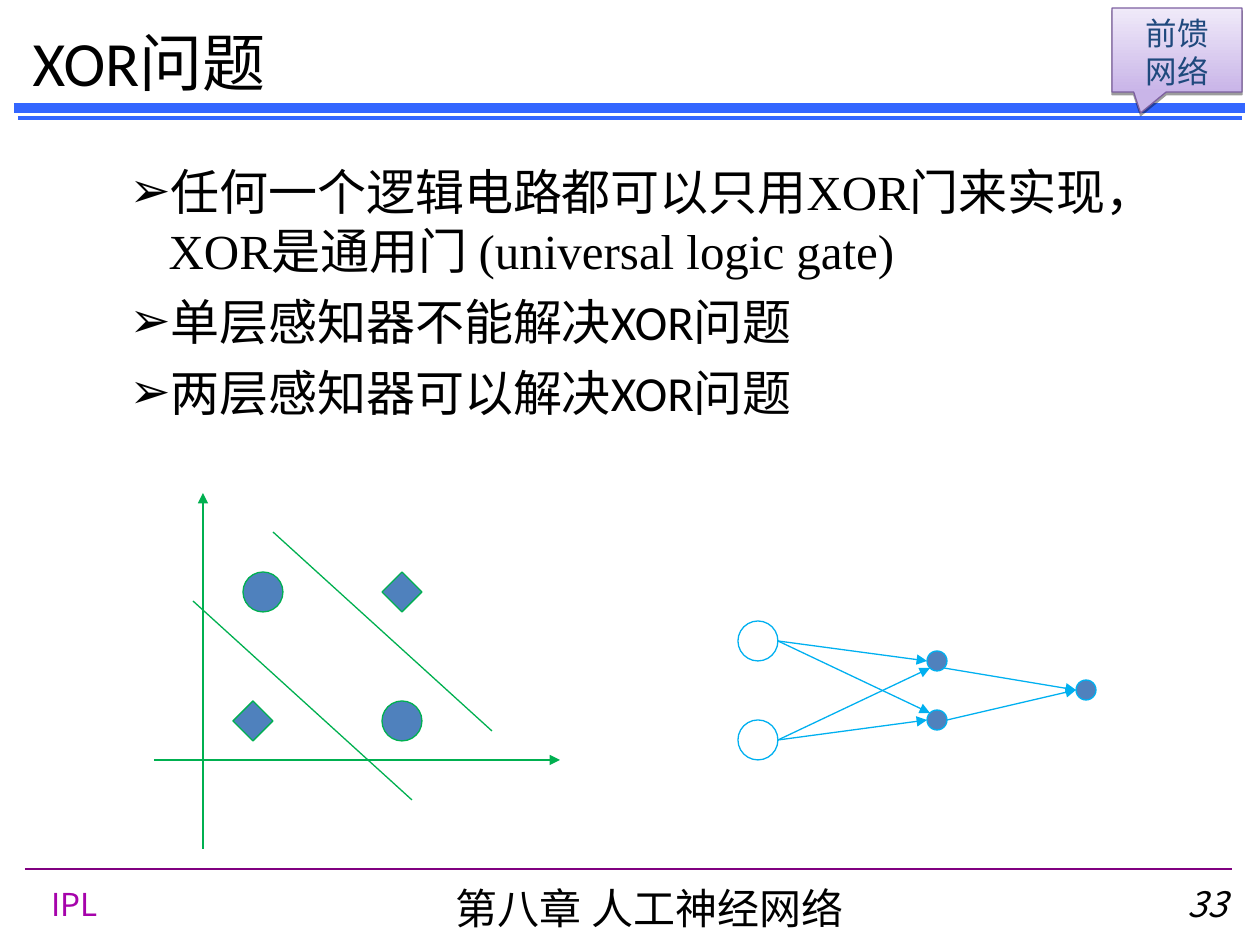
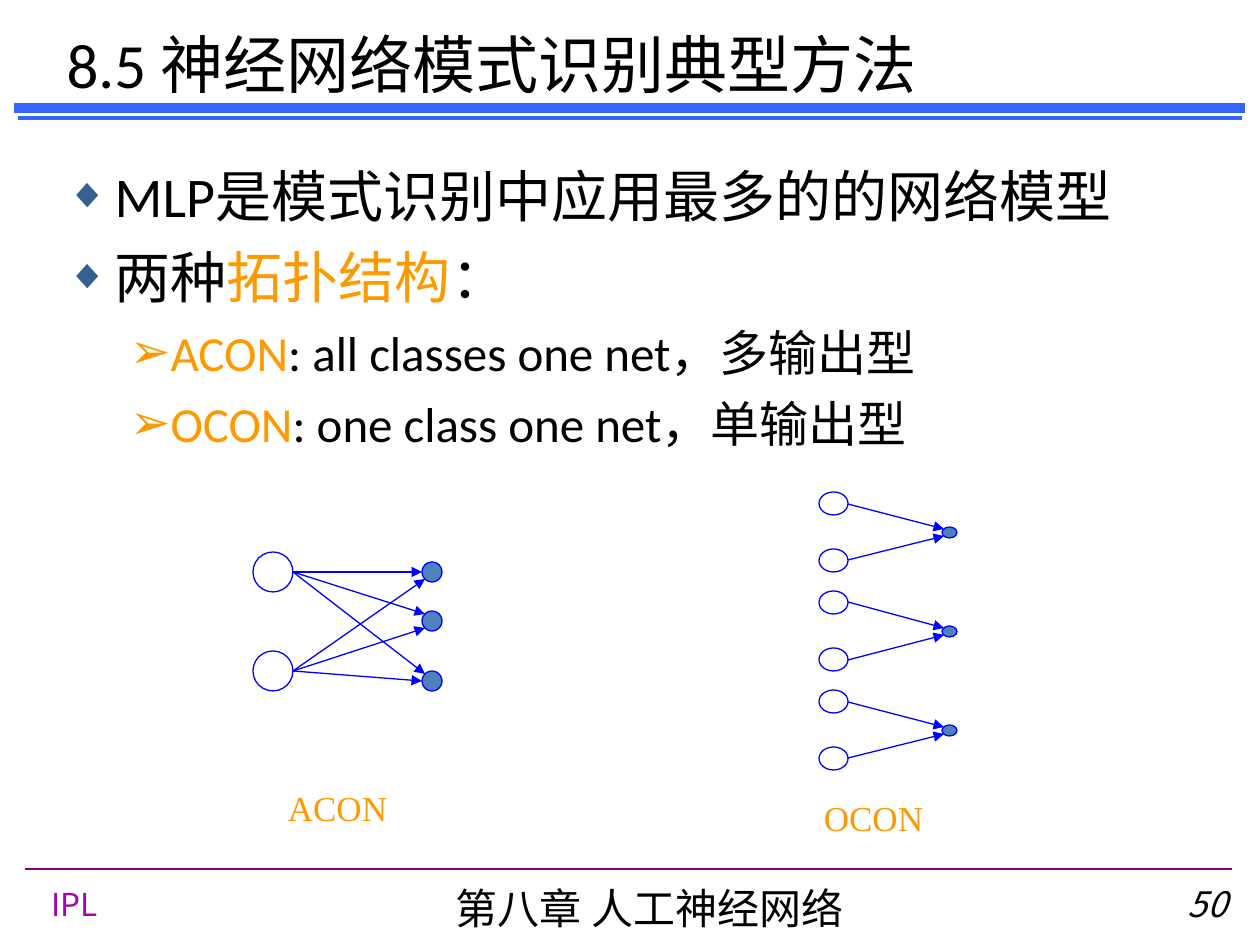
from dataclasses import dataclass
from typing import Any, NamedTuple

from pptx import Presentation
from pptx import util as u
from pptx.dml.color import RGBColor
from pptx.enum import shapes, text
from pptx.oxml.xmlchemy import OxmlElement

EMU = 914400 / 126
HUES = {
    "ink": "000000", "band": "3366FF", "rule": "800080", "lab": "A603AB",
    "node": "4F81BD", "green": "00B050", "sky": "00B0F0", "blue": "0000FF",
    "gold": "FF9900", "mark": "376092", "navy": "1F497D", "edge": "7D60A0",
    "lilac": "C9B5E8", "pale": "F0EAF9",
}
SANS, SERIF, CJK = "Calibri", "Times New Roman", "Noto Sans CJK SC"
OVAL, GEM = shapes.MSO_SHAPE.OVAL, shapes.MSO_SHAPE.DIAMOND
LEFT, MID, RIGHT = text.PP_ALIGN.LEFT, text.PP_ALIGN.CENTER, text.PP_ALIGN.RIGHT
# Points on an oval's edge, as shares of its half width and half height
SITES = {"E": (1, 0), "W": (-1, 0), "NW": (-0.71, -0.71),
         "SW": (-0.71, 0.71), "SE": (0.71, 0.71)}


class Box(NamedTuple):
    x: int
    y: int
    w: int
    h: int

    def site(self, name: str) -> tuple[int, int]:
        dx, dy = SITES[name]
        return (round(self.x + self.w / 2 * (1 + dx)),
                round(self.y + self.h / 2 * (1 + dy)))


class Run(NamedTuple):
    words: str
    hue: str = ""
    face: str = ""


class Level(NamedTuple):
    deep: int
    sign: str
    size: int
    left: int
    hang: int
    gap: int
    scale: int


TOP = Level(0, "◆", 32, 48, 48, 8, 75)
SUB = Level(1, "➢", 28, 102, 39, 7, 100)


@dataclass
class Item:
    level: Level
    hue: str
    runs: list[Run]


@dataclass
class Label:
    words: str
    box: Box
    size: int
    hue: str = "ink"
    face: str = CJK
    align: Any = MID
    slant: bool = False


def px(n: float) -> int:
    return round(n * EMU)


def rgb(hue: str) -> RGBColor:
    return RGBColor.from_string(HUES[hue])


def add(root: Any, tag: str, **attrs: Any) -> Any:
    """Append an XML element to root and return it."""
    part = OxmlElement(tag)
    for key, value in attrs.items():
        part.set(key, str(value))
    root.append(part)
    return part


def style(font: Any, size: int, hue: str, face: str) -> None:
    """Use one face for both Latin and East Asian text."""
    font.size = u.Pt(size)
    font.color.rgb = rgb(hue)
    font.name = face
    add(font._rPr, "a:ea", typeface=face)


def place(shape: Any, box: Box) -> None:
    shape.left, shape.top, shape.width, shape.height = map(px, box)


def line(slide: Any, start: tuple, end: tuple, hue: str,
         width: float = 0.75, arrow: bool = False) -> None:
    wire = slide.shapes.add_connector(
        shapes.MSO_CONNECTOR.STRAIGHT, *map(px, (*start, *end)))
    wire.line.color.rgb = rgb(hue)
    wire.line.width = u.Pt(width)
    add(wire._element.spPr, "a:effectLst")
    if arrow:
        add(wire.line._get_or_add_ln(), "a:tailEnd", type="triangle")


def shape(slide: Any, kind: Any, box: Box, edge: str, fill: str = "") -> Any:
    form = slide.shapes.add_shape(kind, *map(px, box))
    form.shadow.inherit = False
    form.line.color.rgb = rgb(edge)
    form.line.width = u.Pt(0.75)
    if fill:
        form.fill.solid()
        form.fill.fore_color.rgb = rgb(fill)
    else:
        form.fill.background()
    return form


def label(slide: Any, tag: Label) -> None:
    frame = slide.shapes.add_textbox(*map(px, tag.box)).text_frame
    frame.word_wrap = True
    para = frame.paragraphs[0]
    para.text = tag.words
    para.alignment = tag.align
    style(para.font, tag.size, tag.hue, tag.face)
    para.font.italic = tag.slant or None


def title(slide: Any, words: str, box: Box) -> None:
    head = slide.shapes.title
    place(head, box)
    frame = head.text_frame
    frame.auto_size = text.MSO_AUTO_SIZE.NONE
    frame.vertical_anchor = text.MSO_ANCHOR.MIDDLE
    para = frame.paragraphs[0]
    para.text = words
    para.alignment = LEFT
    style(para.font, 36, "ink", SANS)


def bullet(para: Any, level: Level, hue: str) -> None:
    para.level = level.deep
    props = para._p.get_or_add_pPr()
    props.set("marL", str(px(level.left)))
    props.set("indent", str(px(-level.hang)))
    add(add(props, "a:buClr"), "a:srgbClr", val=HUES[hue])
    add(props, "a:buSzPct", val=level.scale * 1000)
    add(props, "a:buChar", char=level.sign)


def body(slide: Any, box: Box, items: list[Item]) -> None:
    hold = slide.placeholders[1]
    place(hold, box)
    frame = hold.text_frame
    frame.auto_size = text.MSO_AUTO_SIZE.NONE
    for i, item in enumerate(items):
        para = frame.add_paragraph() if i else frame.paragraphs[0]
        bullet(para, item.level, item.hue)
        para.space_before = u.Pt(item.level.gap if i else 0)
        style(para.font, item.level.size, "ink", SANS)
        for part in item.runs:
            run = para.add_run()
            run.text = part.words
            if part.hue:
                run.font.color.rgb = rgb(part.hue)
            if part.face:
                run.font.name = part.face


def base(deck: Any, page: int) -> Any:
    """Add a slide with the shared bands and footer."""
    slide = deck.slides.add_slide(deck.slide_layouts[1])
    line(slide, (25, 869), (1232, 869), "rule", 1.5)
    line(slide, (18, 118), (1242, 118), "band", 2)
    line(slide, (14, 108), (1245, 108), "band", 6)
    for tag in (
        Label("IPL", Box(39, 879, 100, 49), 18, "lab", align=LEFT),
        Label("第八章 人工神经网络", Box(364, 876, 571, 63), 24),
        Label(str(page), Box(1131, 876, 108, 64), 20, align=RIGHT, slant=True),
    ):
        label(slide, tag)
    return slide


def net(slide: Any, hue: str, ins: list[Box], outs: list[Box],
        ends: list[str]) -> None:
    """Link every input to every output; ends holds one row of sites per input."""
    for node in ins:
        shape(slide, OVAL, node, hue)
    for node in outs:
        shape(slide, OVAL, node, hue, "node")
    for node, row in zip(ins, ends):
        for goal, site in zip(outs, row.split()):
            line(slide, node.site("E"), goal.site(site), hue, arrow=True)


def plot(slide: Any) -> None:
    line(slide, (154, 760), (560, 760), "green", arrow=True)
    line(slide, (203, 849), (203, 493), "green", arrow=True)
    for kind, x, y in ((GEM, 233, 701), (GEM, 382, 572),
                       (OVAL, 243, 572), (OVAL, 382, 701)):
        shape(slide, kind, Box(x, y, 40, 40), "green", "node")
    for x, y in ((273, 532), (193, 601)):
        line(slide, (x, y), (x + 219, y + 199), "green")


def callout(slide: Any, words: str, box: Box) -> None:
    form = shape(slide, shapes.MSO_SHAPE.RECTANGULAR_CALLOUT, box, "edge")
    form.adjustments[0], form.adjustments[1] = -0.28, 0.75
    form.fill.gradient()
    form.fill.gradient_angle = 90
    for stop, hue in zip(form.fill.gradient_stops, ("lilac", "pale")):
        stop.color.rgb = rgb(hue)
    glow = form._element.spPr.find(
        "{http://schemas.openxmlformats.org/drawingml/2006/main}effectLst")
    cast = add(glow, "a:outerShdw", blurRad=0, dist=u.Pt(1.6), dir=5400000,
               rotWithShape=0)
    add(add(cast, "a:srgbClr", val=HUES["ink"]), "a:alpha", val=38000)
    frame = form.text_frame
    frame.vertical_anchor = text.MSO_ANCHOR.TOP
    para = frame.paragraphs[0]
    para.text = words
    para.alignment = MID
    style(para.font, 18, "navy", SANS)


def xor(deck: Any) -> None:
    slide = base(deck, 33)
    title(slide, "XOR问题", Box(20, 18, 384, 86))
    body(slide, Box(54, 155, 1152, 278), [
        Item(SUB, "ink", [
            Run("任何一个逻辑电路都可以只用"), Run("XOR", face=SERIF),
            Run("门来实现， "), Run("XOR", face=SERIF), Run("是通用门 "),
            Run("(universal logic gate)", face=SERIF)]),
        Item(SUB, "ink", [Run("单层感知器不能解决XOR问题")]),
        Item(SUB, "ink", [Run("两层感知器可以解决XOR问题")]),
    ])
    plot(slide)
    mids = [Box(927, y, 20, 20) for y in (651, 710)]
    last = Box(1076, 680, 20, 20)
    net(slide, "sky", [Box(738, y, 40, 40) for y in (621, 720)], mids,
        ["W NW", "SW W"])
    shape(slide, OVAL, last, "sky", "node")
    for node, site in zip(mids, ("SE", "E")):
        line(slide, node.site(site), last.site("W"), "sky", arrow=True)
    callout(slide, "前馈\v网络", Box(1112, 8, 130, 84))


def nets(deck: Any) -> None:
    slide = base(deck, 50)
    title(slide, "8.5 神经网络模式识别典型方法", Box(54, 15, 950, 97))
    body(slide, Box(54, 155, 1101, 338), [
        Item(TOP, "mark", [Run("MLP是模式识别中应用最多的的网络模型")]),
        Item(TOP, "mark", [Run("两种"), Run("拓扑结构", "gold"), Run("：")]),
        Item(SUB, "gold", [Run("ACON", "gold"),
                           Run(": all classes one net，多输出型")]),
        Item(SUB, "gold", [Run("OCON", "gold"),
                           Run(": one class one net，单输出型")]),
    ])
    net(slide, "blue", [Box(253, y, 40, 40) for y in (552, 651)],
        [Box(422, y, 20, 20) for y in (562, 611, 671)],
        ["W NW NW", "SW SW W"])
    for y in range(492, 700, 99):
        net(slide, "blue", [Box(819, y + dy, 29, 23) for dy in (0, 57)],
            [Box(942, y + 35, 15, 11)], ["NW", "SW"])
    for words, x, y in (("ACON", 263, 780), ("OCON", 799, 790)):
        label(slide, Label(words, Box(x, y, 149, 79), 20, "gold", SERIF))


def main() -> None:
    deck = Presentation()
    deck.slide_width, deck.slide_height = px(1260), px(945)
    xor(deck)
    nets(deck)
    deck.save("out.pptx")


if __name__ == "__main__":
    main()
